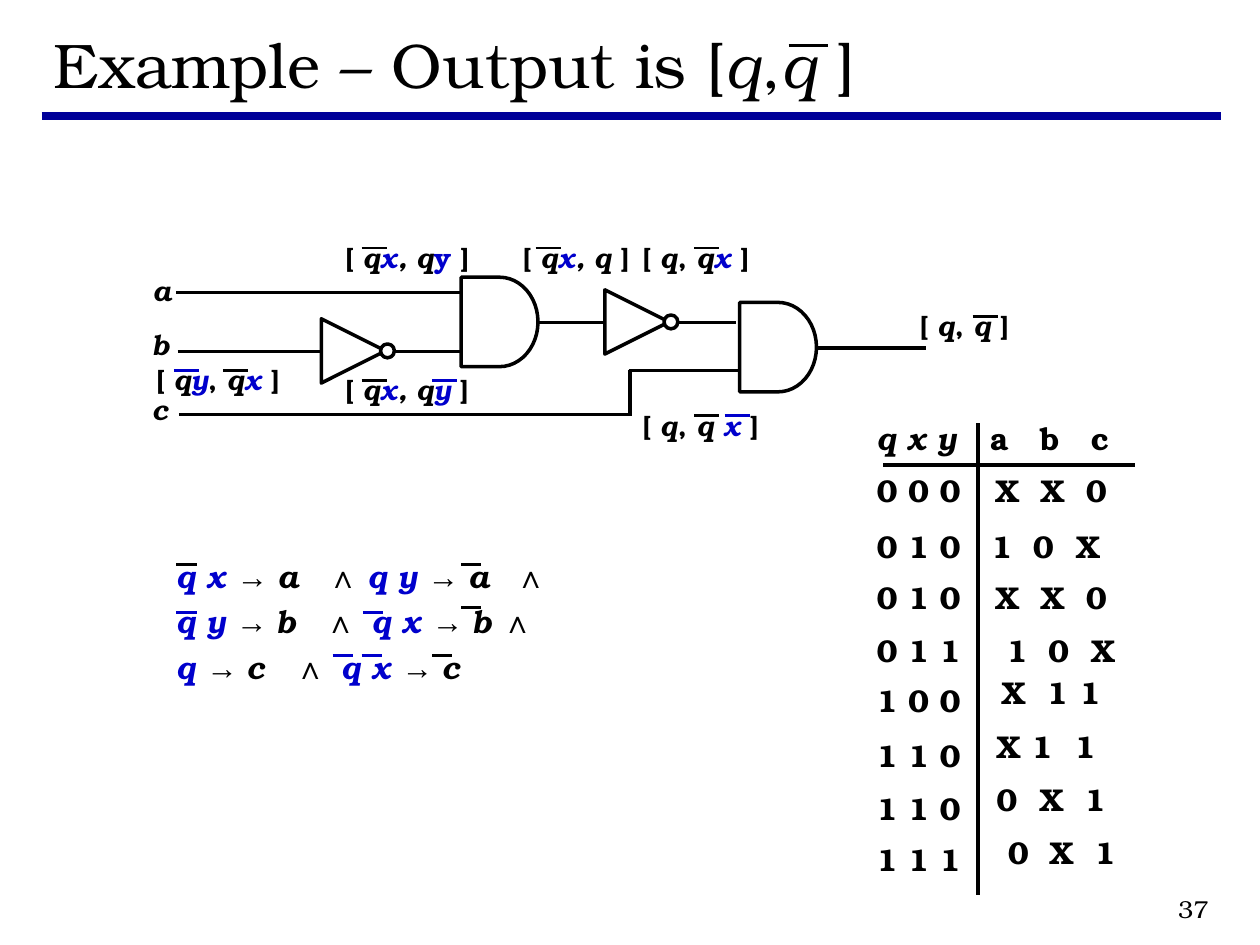
from lxml.etree import SubElement
from pptx import Presentation
from pptx.dml.color import RGBColor
from pptx.enum.shapes import MSO_CONNECTOR as Connector, MSO_SHAPE as Shape
from pptx.enum.text import MSO_ANCHOR as Anchor, PP_ALIGN as Align
from pptx.oxml.ns import qn
from pptx.util import Inches, Pt

FONT = "TeX Gyre Bonum"
BLACK, BLUE, NAVY, WHITE = "000000", "0000CC", "000099", "FFFFFF"
STYLES = {
    "plain": (FONT, BLACK, False),
    "known": (FONT, BLACK, True),
    "input": (FONT, BLUE, True),
    "upright": (FONT, BLUE, False),
    "symbol": ("Arial", BLACK, False),
}
OPEN, CLOSE, COMMA = ("[ ", "plain"), (" ]", "plain"), (", ", "plain")
Q, X, Y = ("q", "known"), ("x", "input"), ("y", "input")
ARROW, AND = ("→ ", "symbol"), ("∧", "symbol")
AND_SPACE, AND_TAB = ("∧ ", "symbol"), ("∧\t", "symbol")

WIRES = [
    (4.25, 2.56, 5.84, 2.56), (6.48, 2.76, 7.35, 2.76), (4.99, 2.94, 5.86, 2.94),
    (1.41, 2.79, 3.67, 2.79), (1.4, 2.32, 3.66, 2.32), (1.42, 3.29, 5.01, 3.29),
    (5, 3.3, 5, 2.94),
]
AND_GATES = [(5.87, 2.4), (3.66, 2.2)]
INVERTERS = [(4.8, 2.3), (2.55, 2.53)]
INPUTS = [("a", 2.12), ("b", 2.55), ("c", 3.07)]
LABELS = [
    (7.2, 2.4, [OPEN, Q, COMMA, Q, CLOSE], [(0.52, BLACK)]),
    (5, 1.86, [OPEN, Q, COMMA, Q, X, CLOSE], [(0.51, BLACK)]),
    (5, 3.19, [OPEN, Q, COMMA, ("q ", "known"), X, CLOSE], [(0.51, BLACK), (0.75, BLUE)]),
    (4.05, 1.86, [OPEN, Q, X, (", q", "known"), CLOSE], [(0.2, BLACK)]),
    (2.64, 1.86, [OPEN, Q, X, (", q", "known"), ("y", "upright"), CLOSE], [(0.23, BLACK)]),
    (2.64, 2.91, [OPEN, Q, X, (", q", "known"), Y, CLOSE], [(0.23, BLACK), (0.79, BLUE)]),
    (1.14, 2.83, [OPEN, Q, Y, COMMA, Q, X, CLOSE], [(0.24, BLUE), (0.63, BLACK)]),
]
TABLE_ROWS = [
    ("0 0 0", 3.69, "X\tX\t0", 3.69, (7.9, 8.26, 8.62)),
    ("0 1 0", 4.13, "1\t0\tX", 4.13, (7.87, 8.2, 8.54)),
    ("0 1 0", 4.54, "X\tX\t0", 4.54, (7.9, 8.26, 8.62)),
    ("0 1 1", 4.96, "1\t0\tX", 4.96, (7.99, 8.32, 8.66)),
    ("1 0 0", 5.36, "X\t1\t1", 5.29, (7.95, 8.31, 8.57)),
    ("1 1 0", 5.79, "X\t1\t1", 5.72, (7.91, 8.19, 8.53)),
    ("1 1 0", 6.21, "0\tX\t1", 6.14, (7.91, 8.25, 8.61)),
    ("1 1 1", 6.62, "0\tX\t1", 6.56, (8, 8.33, 8.69)),
]
FORMULA = [
    ([("q x ", "input"), ARROW, ("a\t", "known"), AND_SPACE,
      ("q y ", "input"), ARROW, ("a\t", "known"), AND], (1.2, 2.69)),
    ([("q y ", "input"), ARROW, ("b\t", "known"), AND_TAB,
      ("q x ", "input"), ARROW, ("b ", "known"), AND], (1.18, 1.55)),
    ([("q ", "input"), ARROW, ("c\t", "known"), AND_TAB,
      ("q x ", "input"), ARROW, ("c", "known")], (0.94, 1.31)),
]
FORMULA_BARS = [
    (1.4, 4.48, BLACK), (3.66, 4.48, BLACK), (1.4, 4.86, BLUE), (2.88, 4.86, BLUE),
    (3.66, 4.82, BLACK), (2.64, 5.2, BLUE), (2.87, 5.2, BLUE), (3.43, 5.2, BLACK),
]


def color(value):
    return RGBColor.from_string(value)


def add_line(page, left, top, right, bottom, ink=BLACK, width=2):
    line = page.shapes.add_connector(
        Connector.STRAIGHT, Inches(left), Inches(top), Inches(right), Inches(bottom))
    line.line.color.rgb = color(ink)
    line.line.width = Pt(width)
    SubElement(line._element.spPr, qn("a:effectLst"))


def add_bar(page, left, top, length, ink=BLACK, width=1.5):
    add_line(page, left, top, left + length, top, ink, width)


def add_symbol(page, kind, left, top, width, height, rotation=0):
    symbol = page.shapes.add_shape(
        kind, Inches(left), Inches(top), Inches(width), Inches(height))
    symbol.rotation = rotation
    symbol.shadow.inherit = False
    symbol.fill.solid()
    symbol.fill.fore_color.rgb = color(WHITE)
    symbol.line.color.rgb = color(BLACK)
    symbol.line.width = Pt(2)


def add_inverter(page, left, top):
    add_symbol(page, Shape.FLOWCHART_EXTRACT, left, top, 0.51, 0.51, 90)
    add_symbol(page, Shape.OVAL, left + 0.47, top + 0.2, 0.11, 0.11)


def add_frame(page, left, top, width, height, anchor=Anchor.TOP):
    box = page.shapes.add_textbox(Inches(left), Inches(top), Inches(width), Inches(height))
    frame = box.text_frame
    frame.word_wrap = True
    frame.vertical_anchor = anchor
    return frame


def fill_paragraph(para, spans, size, bold=True, tabs=()):
    if tabs:
        tab_list = SubElement(para._p.get_or_add_pPr(), qn("a:tabLst"))
        for stop in tabs:
            SubElement(tab_list, qn("a:tab"), pos=str(Inches(stop)), algn="l")
    para.font.size = Pt(size)
    para.font.bold = bold
    for text, style in spans:
        span = para.add_run()
        span.text = text
        span.font.name, ink, span.font.italic = STYLES[style]
        span.font.color.rgb = color(ink)


def add_text(page, left, top, width, height, spans, size, tabs=()):
    frame = add_frame(page, left, top, width, height)
    fill_paragraph(frame.paragraphs[0], spans, size, tabs=tabs)


def add_title(page):
    add_line(page, 0.33, 0.92, 9.69, 0.92, NAVY, 5)
    frame = add_frame(page, 0.33, 0.17, 9.36, 0.67, Anchor.MIDDLE)
    spans = [("Example – Output is [", "plain"), Q, (",", "plain"), Q, CLOSE]
    fill_paragraph(frame.paragraphs[0], spans, 36, bold=False)
    add_bar(page, 6.26, 0.36, 0.31, width=2)


def add_circuit(page):
    for wire in WIRES:
        add_line(page, *wire)
    for left, top in AND_GATES:
        add_symbol(page, Shape.FLOWCHART_DELAY, left, top, 0.61, 0.71)
    for left, top in INVERTERS:
        add_inverter(page, left, top)
    for name, top in INPUTS:
        add_text(page, 1.11, top, 0.35, 0.37, [(name, "known")], 16)
    for left, top, spans, bars in LABELS:
        add_text(page, left, top, 1.34, 0.37, spans, 16)
        for offset, ink in bars:
            add_bar(page, left + offset, top + 0.11, 0.2, ink)


def add_values(page, text, top, columns):
    first, *others = columns
    tabs = [column - first for column in others]
    add_text(page, first - 0.1, top, 1.33, 0.4, [(text, "plain")], 18, tabs)


def add_truth_table(page):
    add_line(page, 7.76, 3.36, 7.76, 7.1)
    add_line(page, 7.01, 3.69, 9.01, 3.69)
    add_text(page, 6.86, 3.28, 1.33, 0.4, [("q x y", "known")], 18)
    add_values(page, "a\tb\tc", 3.28, (7.86, 8.26, 8.66))
    for state, state_top, values, values_top, columns in TABLE_ROWS:
        add_text(page, 6.86, state_top, 1.33, 0.4, [(state, "plain")], 18)
        add_values(page, values, values_top, columns)


def add_formula(page):
    frame = add_frame(page, 1.3, 4.37, 3.78, 1.13)
    for index, (spans, tabs) in enumerate(FORMULA):
        para = frame.add_paragraph() if index else frame.paragraphs[0]
        if index:
            para.space_before = Pt(4.5)
        fill_paragraph(para, spans, 18, tabs=tabs)
    for left, top, ink in FORMULA_BARS:
        add_bar(page, left, top, 0.16, ink, 1.75)


def add_page_number(page):
    frame = add_frame(page, 7.61, 7, 2.08, 0.42, Anchor.MIDDLE)
    para = frame.paragraphs[0]
    para.alignment = Align.RIGHT
    fill_paragraph(para, [("37", "plain")], 14, bold=False)


def main():
    deck = Presentation()
    deck.slide_width, deck.slide_height = Inches(10), Inches(7.5)
    page = deck.slides.add_slide(deck.slide_layouts[6])
    add_title(page)
    add_circuit(page)
    add_truth_table(page)
    add_formula(page)
    add_page_number(page)
    deck.save("out.pptx")


if __name__ == "__main__":
    main()
